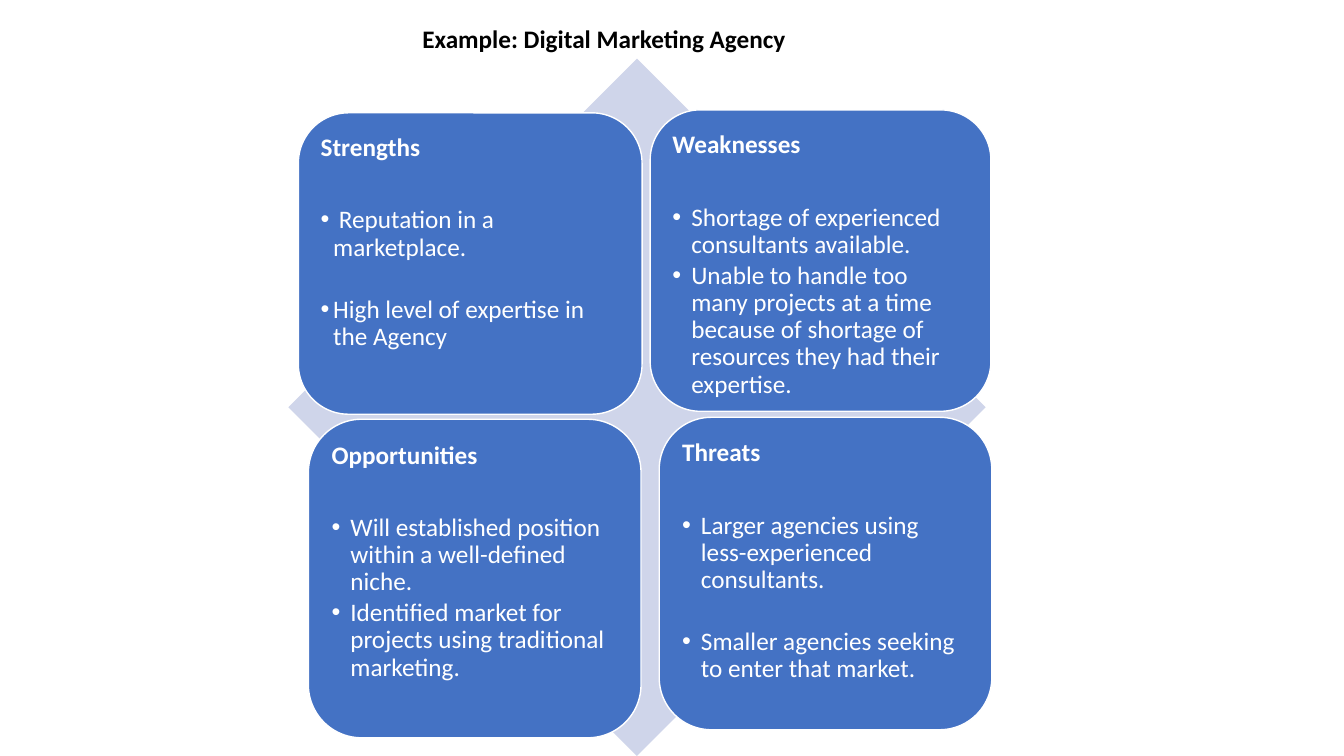
from dataclasses import dataclass

import lxml.etree
import pptx
import pptx.dml.color
import pptx.enum.shapes
import pptx.enum.text
import pptx.oxml.ns
import pptx.util

Pt = pptx.util.Pt
COLOURS = {"card": "4472C4", "diamond": "CFD5EA", "white": "FFFFFF", "black": "000000"}
FONT, SIZE = "Calibri", 18
LINE_SPACING = 0.9
HEADING_GAP, BULLET_GAP, WIDE_GAP = 32, 2.7, 25
CORNER = 1 / 6
CORNER_INSET = CORNER * (1 - 0.5 ** 0.5)


@dataclass
class Quadrant:
    heading: str
    bullets: list[str]
    left: float
    top: float
    width: float
    height: float
    placeholder: int
    indent: float = 13.5
    gap: float = BULLET_GAP


QUADRANTS = [
    Quadrant("Strengths",
             [" Reputation in a marketplace.", "High level of expertise in the Agency"],
             213.1, 80.6, 245.5, 215.3, 1, indent=9, gap=WIDE_GAP),
    Quadrant("Weaknesses",
             ["Shortage of experienced consultants available.",
              "Unable to handle too many projects at a time because of shortage of "
              "resources they had their expertise."],
             464.4, 78.5, 243.4, 215.3, 2),
    Quadrant("Opportunities",
             ["Will established position within a well-defined niche.",
              "Identified market for projects using traditional marketing."],
             220.3, 299.5, 237.6, 227.5, 3),
    Quadrant("Threats",
             ["Larger agencies using less-experienced consultants.",
              "Smaller agencies seeking to enter that market."],
             470.9, 298.1, 237.6, 223.2, 4, gap=WIDE_GAP),
]


def rgb(name: str) -> pptx.dml.color.RGBColor:
    return pptx.dml.color.RGBColor.from_string(COLOURS[name])


def place(shape, left: float, top: float, width: float, height: float) -> None:
    shape.left, shape.top, shape.width, shape.height = map(Pt, (left, top, width, height))


def set_frame(frame, side: float, edge: float, wrap: bool) -> None:
    frame.margin_left = frame.margin_right = Pt(side)
    frame.margin_top = frame.margin_bottom = Pt(edge)
    frame.vertical_anchor = pptx.enum.text.MSO_ANCHOR.TOP
    frame.auto_size = pptx.enum.text.MSO_AUTO_SIZE.NONE
    frame.word_wrap = wrap


def add_run(paragraph, text: str, colour: str, bold: bool) -> None:
    run = paragraph.add_run()
    run.text = text
    run.font.name, run.font.size, run.font.bold = FONT, Pt(SIZE), bold
    run.font.color.rgb = rgb(colour)


def set_paragraph(paragraph, gap: float, indent: float, bullet: bool) -> None:
    paragraph.alignment = pptx.enum.text.PP_ALIGN.LEFT
    paragraph.line_spacing = LINE_SPACING
    paragraph.space_before, paragraph.space_after = Pt(0), Pt(gap)
    paragraph.level = int(bullet)
    # Bullet and hanging indent
    properties = paragraph._p.get_or_add_pPr()
    properties.set("marL", str(Pt(indent)))
    properties.set("indent", str(-Pt(indent)))
    qn = pptx.oxml.ns.qn
    if bullet:
        lxml.etree.SubElement(properties, qn("a:buFont")).set("typeface", "Arial")
        lxml.etree.SubElement(properties, qn("a:buChar")).set("char", "•")
    else:
        lxml.etree.SubElement(properties, qn("a:buNone"))


def add_shape(slide, kind, left: float, top: float, width: float, height: float, fill: str):
    shape = slide.shapes.add_shape(kind, *map(Pt, (left, top, width, height)))
    shape.shadow.inherit = False
    shape.fill.solid()
    shape.fill.fore_color.rgb = rgb(fill)
    shape.line.fill.background()
    return shape


def draw_quadrant(slide, quadrant: Quadrant) -> None:
    # Card
    card = add_shape(slide, pptx.enum.shapes.MSO_SHAPE.ROUNDED_RECTANGLE, quadrant.left,
                     quadrant.top, quadrant.width, quadrant.height, "card")
    card.adjustments[0] = CORNER
    card.line.color.rgb = rgb("white")
    card.line.width = Pt(1)

    # Heading and list, in front of the card and clear of its corners
    content = slide.placeholders[quadrant.placeholder]
    slide.shapes.element.append(content.element)
    inset = CORNER_INSET * min(quadrant.width, quadrant.height)
    place(content, quadrant.left + inset, quadrant.top + inset,
          quadrant.width - 2 * inset, quadrant.height - 2 * inset)
    frame = content.text_frame
    set_frame(frame, 5.4, 5.4, True)
    heading = frame.paragraphs[0]
    set_paragraph(heading, HEADING_GAP, 0, False)
    add_run(heading, quadrant.heading, "white", True)
    for text in quadrant.bullets:
        item = frame.add_paragraph()
        set_paragraph(item, quadrant.gap, quadrant.indent, True)
        add_run(item, text, "white", False)


def main() -> None:
    presentation = pptx.Presentation()
    presentation.slide_width, presentation.slide_height = Pt(960), Pt(540)
    slide = presentation.slides.add_slide(presentation.slide_layouts.get_by_name("Comparison"))

    # Title
    title = slide.shapes.title
    place(title, 294.5, 13, 276.5, 28.8)
    set_frame(title.text_frame, 7.2, 3.6, False)
    title_line = title.text_frame.paragraphs[0]
    title_line.alignment = pptx.enum.text.PP_ALIGN.LEFT
    add_run(title_line, "Example: Digital Marketing Agency", "black", True)

    # Diamond behind the four cards
    add_shape(slide, pptx.enum.shapes.MSO_SHAPE.DIAMOND, 205.9, 41.8, 498.2, 498.2, "diamond")

    for quadrant in QUADRANTS:
        draw_quadrant(slide, quadrant)
    presentation.save("out.pptx")


if __name__ == "__main__":
    main()
